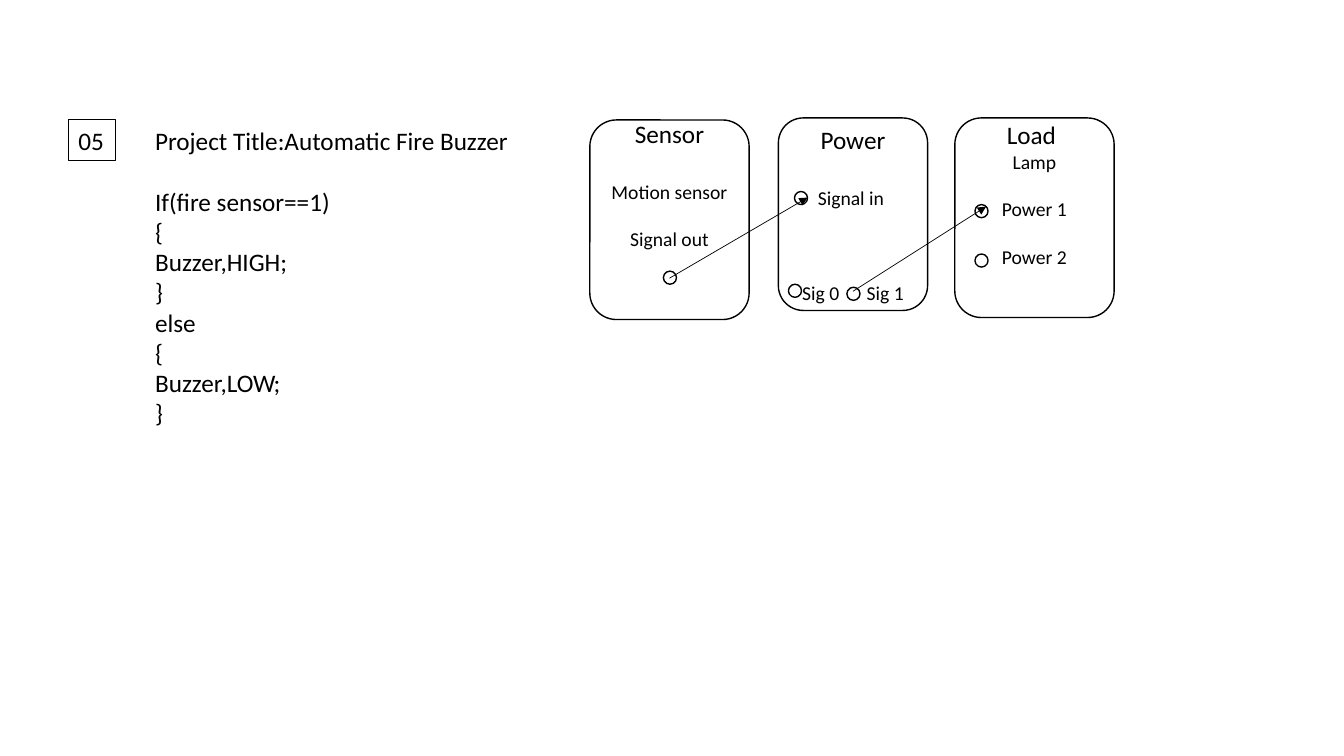
import dataclasses
import pptx
import pptx.dml.color
import pptx.enum.shapes
import pptx.enum.text
import pptx.oxml.ns
import pptx.util
from lxml import etree

Inches = pptx.util.Inches
Shape = pptx.enum.shapes.MSO_SHAPE
Align = pptx.enum.text.PP_ALIGN
Anchor = pptx.enum.text.MSO_ANCHOR


@dataclasses.dataclass(frozen=True)
class Theme:
    """Colours, font, type sizes and line widths."""
    ink: str = "000000"
    font: str = "Calibri"
    head: int = 18
    body: int = 14
    edge: float = 1
    frame: float = 0.75
    wire: float = 0.5


THEME = Theme()
PIN = 0.13
CODE = ["If(fire sensor==1)", "{", "Buzzer,HIGH;", "}",
        "else", "{", "Buzzer,LOW;", "}"]

# Panel: box, labels (text, size, shift from centre, middle), pins (left, top)
PANELS = [
    ((0, 0.02, 1.58, 1.98),
     [("Sensor", THEME.head, 0, 0.13),
      ("Motion sensor", THEME.body, 0, 0.71),
      ("Signal out", THEME.body, 0, 1.18)],
     [(0.73, 1.5)]),
    ((1.87, 0, 1.48, 1.91),
     [("Power", THEME.head, 0, 0.21),
      ("Signal in", THEME.body, -0.02, 0.79),
      ("Sig 0", THEME.body, -0.32, 1.73),
      ("Sig 1", THEME.body, 0.32, 1.73)],
     [(0.16, 0.73), (0.1, 1.65), (0.68, 1.68)]),
    ((3.62, 0, 1.58, 1.98),
     [("Load", THEME.head, -0.03, 0.16),
      ("Lamp", THEME.body, 0, 0.43),
      ("Power 1", THEME.body, 0, 0.9),
      ("Power 2", THEME.body, 0, 1.38)],
     [(0.2, 0.86), (0.2, 1.35)]),
]
WIRES = [((0.79, 1.59), (2.16, 0.79)), ((2.61, 1.72), (3.93, 0.88))]


def tint(text):
    """Return a theme colour as an RGB value."""
    return pptx.dml.color.RGBColor.from_string(text)


def style(frame, size, align):
    """Format every paragraph and run of a text frame."""
    for para in frame.paragraphs:
        para.alignment = align
        for run in para.runs:
            run.font.name = THEME.font
            run.font.size = pptx.util.Pt(size)
            run.font.color.rgb = tint(THEME.ink)


def outline(slide, kind, box, width):
    """Draw an unfilled shape with a thin dark edge."""
    shape = slide.shapes.add_shape(kind, *map(Inches, box))
    shape.shadow.inherit = False
    shape.fill.background()
    shape.line.color.rgb = tint(THEME.ink)
    shape.line.width = pptx.util.Pt(width)
    return shape


def label(slide, text, size, mid, row, width):
    """Centre one line of text on a point."""
    high = 0.3
    box = (mid - width / 2, row - high / 2, width, high)
    frame = slide.shapes.add_textbox(*map(Inches, box)).text_frame
    frame.margin_left = frame.margin_right = 0
    frame.margin_top = frame.margin_bottom = 0
    frame.vertical_anchor = Anchor.MIDDLE
    frame.text = text
    style(frame, size, Align.CENTER)


def badge(slide, box):
    """Draw the framed project number."""
    shape = outline(slide, Shape.RECTANGLE, box, THEME.frame)
    frame = shape.text_frame
    frame.word_wrap = False
    frame.vertical_anchor = Anchor.MIDDLE
    frame.text = "05"
    style(frame, THEME.head, Align.LEFT)


def notes(slide, box):
    """Write the project title and its code."""
    frame = slide.shapes.add_textbox(*map(Inches, box)).text_frame
    frame.word_wrap = False
    frame.text = "\n".join(["Project Title:Automatic Fire Buzzer", *CODE])
    frame.paragraphs[1].space_before = pptx.util.Pt(22)
    style(frame, THEME.head, Align.LEFT)


def panel(slide, box, labels, pins):
    """Draw one block with its labels and pins."""
    left, top, width, high = box
    outline(slide, Shape.ROUNDED_RECTANGLE, box, THEME.edge)
    for text, size, shift, row in labels:
        span = 0.5 if text.startswith("Sig ") else 1.3
        label(slide, text, size, left + width / 2 + shift, top + row, span)
    for x, y in pins:
        outline(slide, Shape.OVAL, (left + x, top + y, PIN, PIN), THEME.edge)


def wire(slide, start, end):
    """Draw an arrow between two points."""
    line = slide.shapes.add_connector(
        pptx.enum.shapes.MSO_CONNECTOR.STRAIGHT, *map(Inches, start + end))
    line.line.color.rgb = tint(THEME.ink)
    line.line.width = pptx.util.Pt(THEME.wire)
    qn = pptx.oxml.ns.qn
    etree.SubElement(line.line._get_or_add_ln(), qn("a:tailEnd"), type="triangle")
    etree.SubElement(line._element.spPr, qn("a:effectLst"))


def board(slide, left, top):
    """Draw the three blocks and the wires between them."""
    for (x, y, width, high), labels, pins in PANELS:
        panel(slide, (left + x, top + y, width, high), labels, pins)
    for ends in WIRES:
        wire(slide, *[(left + x, top + y) for x, y in ends])


def main():
    """Build and save the slide."""
    deck = pptx.Presentation()
    deck.slide_width = Inches(13.33)
    deck.slide_height = Inches(7.5)
    slide = deck.slides.add_slide(deck.slide_layouts[6])
    badge(slide, (0.68, 1.19, 0.47, 0.4))
    notes(slide, (1.44, 1.19, 3.74, 3.43))
    board(slide, 5.85, 1.17)
    deck.save("out.pptx")


if __name__ == "__main__":
    main()
